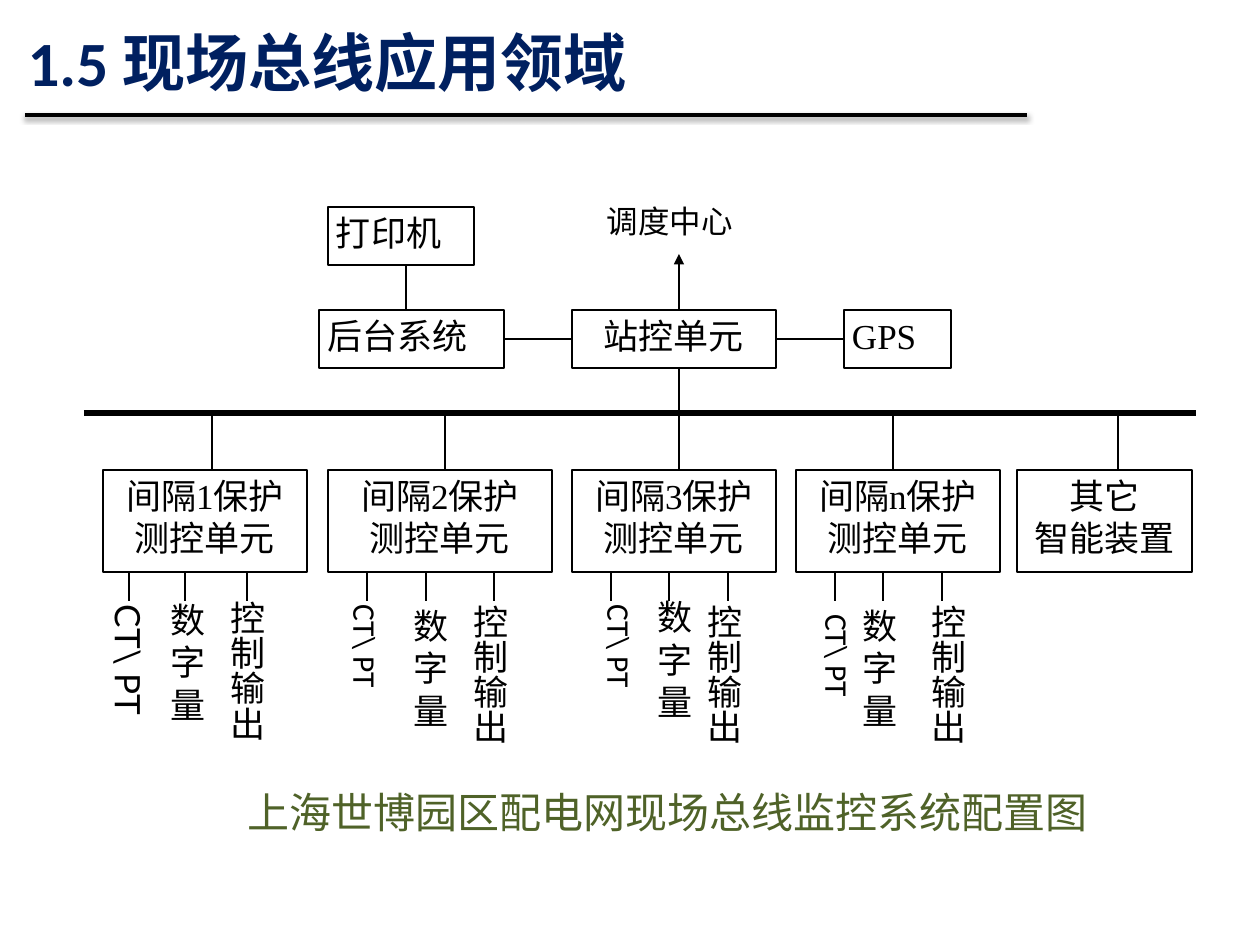
"""Build the slide on fieldbus application areas with its monitoring system diagram."""
from dataclasses import dataclass

from lxml import etree
from pptx import Presentation
from pptx import util as u
from pptx.dml.color import RGBColor
from pptx.enum import shapes, text
from pptx.oxml.ns import qn

PX = u.Inches(1) / 126
BLACK, WHITE, NAVY, OLIVE = "000000", "FFFFFF", "002060", "4F6228"
SANS, TITLE, SERIF = "Lato", "Calibri", "Times New Roman"
LEFT, CENTER, JUSTIFY = (
    text.PP_ALIGN.LEFT, text.PP_ALIGN.CENTER, text.PP_ALIGN.JUSTIFY)
BUS_Y, BAY_Y, BAY_H = 413, 470, 102
SIGNAL_TOP, SIGNAL_BOTTOM = 573, 601


@dataclass(frozen=True)
class Box:
    """A rectangle with text, measured in px."""
    x: int
    y: int
    w: int
    h: int
    lines: tuple
    size: int = 20
    font: str = SANS
    align: text.PP_ALIGN = JUSTIFY
    outlined: bool = True
    vertical: bool = False
    indent: int = 0


@dataclass(frozen=True)
class Bay:
    """A unit under the bus, with the x of its drop line."""
    x: int
    w: int
    drop: int
    lines: tuple
    font: str = SERIF


@dataclass(frozen=True)
class Signals:
    """Lines and labels below one bay; each label is placed by x, y and width."""
    lines: tuple
    ct: tuple
    digital: tuple
    control: tuple
    ct_size: int = 18
    ct_font: str = TITLE


BACKEND = Box(319, 310, 185, 58, ("后台系统",))
STATION = Box(572, 310, 204, 58, ("站控单元",), align=CENTER)
GPS = Box(844, 310, 107, 58, ("GPS",), font=SERIF)
PRINTER = Box(328, 207, 146, 58, ("打印机",))
DISPATCH = Box(572, 198, 195, 57, ("调度中心",), size=18, outlined=False, indent=27)

BAYS = (
    Bay(103, 204, 212, ("间隔1保护测控单元",)),
    Bay(328, 224, 445, ("间隔2保护", "测控单元")),
    Bay(572, 204, 679, ("间隔3保护测控单元",)),
    Bay(796, 204, 893, ("间隔n保护测控单元",)),
    Bay(1017, 175, 1118, ("其它", "智能装置"), SANS),
)
SIGNALS = (
    Signals((129, 185, 247), (84, 601, 74), (163, 595, 58), (221, 597, 55), 20, SANS),
    Signals((367, 426, 494), (328, 601, 65), (406, 601, 59), (465, 601, 54)),
    Signals((611, 669, 728), (571, 601, 76), (650, 592, 59), (698, 601, 55)),
    Signals((835, 883, 942), (789, 610, 76), (854, 601, 59), (922, 601, 55)),
)


def px(n: float) -> int:
    return round(n * PX)


def rgb(value: str) -> RGBColor:
    return RGBColor.from_string(value)


def style(p, size: int, font: str, color: str, align, bold: bool = False) -> None:
    p.alignment = align
    p.font.size = u.Pt(size)
    p.font.name = font
    p.font.bold = bold
    p.font.color.rgb = rgb(color)


def draw_box(slide, box: Box):
    sp = slide.shapes.add_shape(
        shapes.MSO_SHAPE.RECTANGLE, px(box.x), px(box.y), px(box.w), px(box.h))
    sp.shadow.inherit = False
    sp.fill.solid()
    sp.fill.fore_color.rgb = rgb(WHITE)
    if box.outlined:
        sp.line.color.rgb = rgb(BLACK)
        sp.line.width = u.Pt(0.75)
    else:
        sp.line.fill.background()
    tf = sp.text_frame
    tf.word_wrap = True
    tf.vertical_anchor = text.MSO_ANCHOR.TOP
    tf.margin_left = tf.margin_right = px(8)
    tf.margin_top = tf.margin_bottom = px(4)
    if box.vertical:
        tf._txBody.bodyPr.set("vert", "eaVert")
    tf.text = "\n".join(box.lines)
    for p in tf.paragraphs:
        if box.indent:
            p._p.get_or_add_pPr().set("marL", str(px(box.indent)))
        style(p, box.size, box.font, BLACK, box.align)
    return sp


def draw_line(slide, x1: int, y1: int, x2: int, y2: int, width: float = 0.75):
    line = slide.shapes.add_connector(
        shapes.MSO_CONNECTOR.STRAIGHT, px(x1), px(y1), px(x2), px(y2))
    line.line.color.rgb = rgb(BLACK)
    line.line.width = u.Pt(width)
    etree.SubElement(line._element.spPr, qn("a:effectLst"))
    return line


def join_sides(slide, left, right) -> None:
    line = draw_line(slide, 0, 0, 0, 0)
    line.begin_connect(left, 3)
    line.end_connect(right, 1)


def add_arrowhead(line) -> None:
    etree.SubElement(line.line._get_or_add_ln(), qn("a:tailEnd"), type="triangle")


def add_shadow(line) -> None:
    effects = line._element.spPr.find(qn("a:effectLst"))
    shadow = etree.SubElement(
        effects, qn("a:outerShdw"), blurRad=str(u.Pt(3.1)), dist=str(u.Pt(1.6)),
        dir="5400000", rotWithShape="0")
    color = etree.SubElement(shadow, qn("a:srgbClr"), val=BLACK)
    etree.SubElement(color, qn("a:alpha"), val="38000")


def draw_heading(slide) -> None:
    add_shadow(draw_line(slide, 25, 115, 1027, 115, 2))
    sp = slide.shapes.title
    sp.left, sp.top, sp.width, sp.height = px(15), px(6), px(1012), px(110)
    tf = sp.text_frame
    tf.vertical_anchor = text.MSO_ANCHOR.MIDDLE
    tf.text = "1.5 现场总线应用领域"
    style(tf.paragraphs[0], 36, TITLE, NAVY, LEFT, bold=True)


def draw_caption(slide) -> None:
    sp = slide.shapes.add_textbox(px(235), px(780), px(941), px(69))
    tf = sp.text_frame
    tf.word_wrap = True
    tf.text = "上海世博园区配电网现场总线监控系统配置图"
    style(tf.paragraphs[0], 24, TITLE, OLIVE, LEFT)


def draw_control_level(slide) -> None:
    draw_box(slide, PRINTER)
    draw_box(slide, DISPATCH)
    backend, station, gps = (draw_box(slide, b) for b in (BACKEND, STATION, GPS))
    join_sides(slide, backend, station)
    join_sides(slide, station, gps)
    draw_line(slide, 406, 310, 406, 264)
    add_arrowhead(draw_line(slide, 679, 310, 679, 254))
    draw_line(slide, 679, 367, 679, BUS_Y)


def draw_bay(slide, bay: Bay) -> None:
    draw_box(slide, Box(bay.x, BAY_Y, bay.w, BAY_H, bay.lines, 20, bay.font, CENTER))
    draw_line(slide, bay.drop, BAY_Y, bay.drop, BUS_Y)


def draw_signals(slide, group: Signals) -> None:
    labels = (
        (group.ct, 122, "CT\\ PT", group.ct_size, group.ct_font, True),
        (group.digital, 102, "数字量", 20, SANS, False),
        (group.control, 169, "控制输出", 20, SANS, True),
    )
    for (x, y, w), h, label, size, font, vertical in labels:
        draw_box(slide, Box(x, y, w, h, (label,), size, font,
                            outlined=False, vertical=vertical))
    for x in group.lines:
        draw_line(slide, x, SIGNAL_BOTTOM, x, SIGNAL_TOP)


def main() -> None:
    prs = Presentation()
    prs.slide_width, prs.slide_height = px(1260), px(945)
    slide = prs.slides.add_slide(prs.slide_layouts[5])
    draw_heading(slide)
    draw_caption(slide)
    draw_control_level(slide)
    draw_line(slide, 84, BUS_Y, 1196, BUS_Y, 3)
    for bay in BAYS:
        draw_bay(slide, bay)
    for group in SIGNALS:
        draw_signals(slide, group)
    prs.save("out.pptx")


if __name__ == "__main__":
    main()
